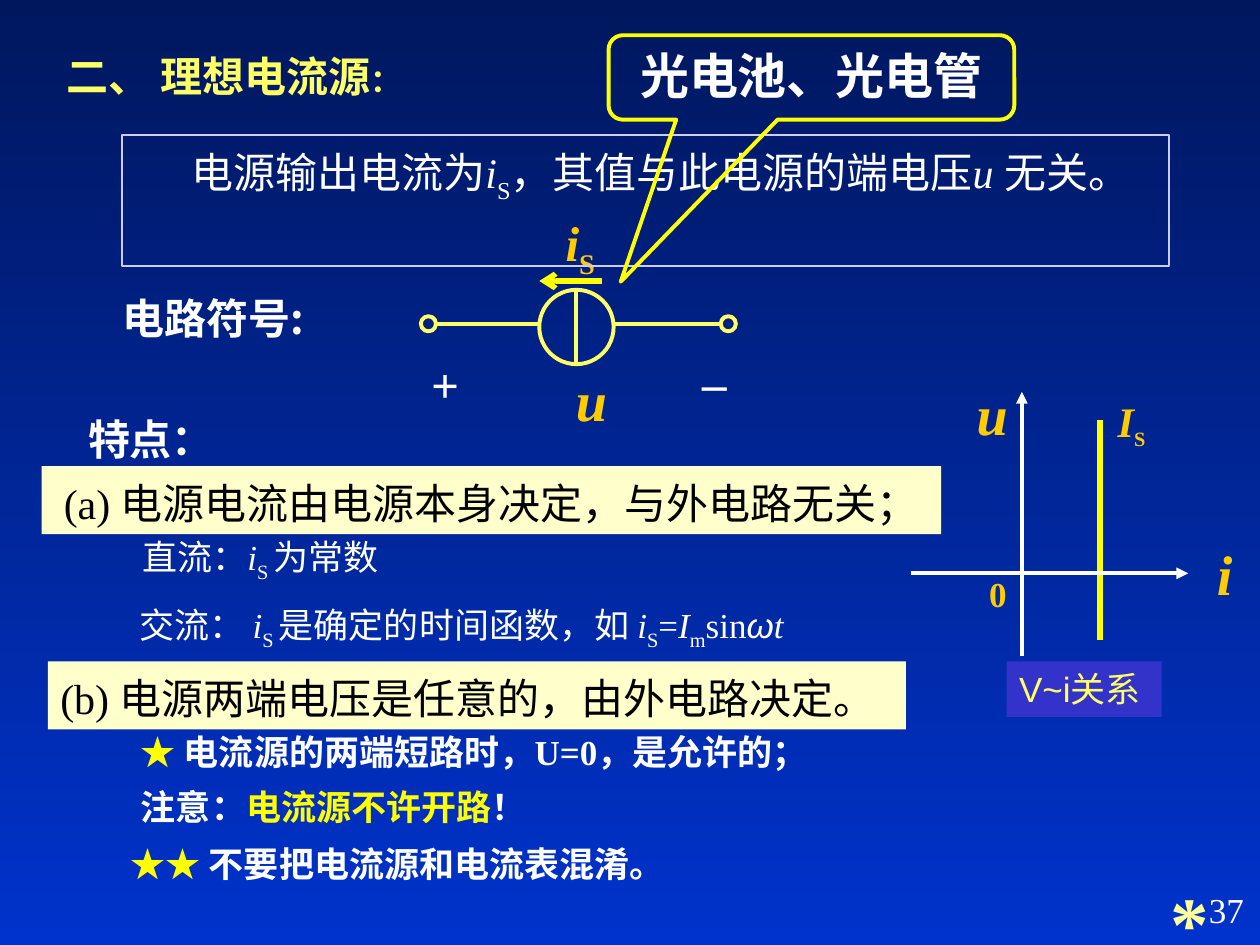
from lxml.etree import SubElement
from pptx import Presentation
from pptx.dml.color import RGBColor
from pptx.enum.shapes import MSO_CONNECTOR, MSO_SHAPE
from pptx.enum.text import MSO_ANCHOR, PP_ALIGN
from pptx.oxml.ns import qn
from pptx.util import Inches, Pt

COLS, ROWS = 10, 7.5
ROMAN, SANS, STAR = "Times New Roman", "Noto Sans CJK SC", "Noto Sans CJK KR"
WHITE, GOLD, SUN, LEMON, CREAM = "FFFFFF", "FFCC00", "FFFF00", "FFFF66", "FFFFCC"
SKY = ("00175E", "0033CC")

IT, SUB, HOT = {"italic": True}, {"sub": True}, {"color": SUN}
IS = [("i", IT), ("S", SUB)]
BASE = {"name": ROMAN, "size": 20, "color": WHITE, "bold": False, "italic": False}
HEAD = {"size": 24, "bold": True, "name": SANS}
BAND = {"size": 24, "color": "000000", "fill": CREAM, "shape": MSO_SHAPE.RECTANGLE, "lead": 1.1}
BODY = {"lead": 1.1}
NOTE = {"bold": True, "lead": 0.8, "gap": 12.5}
MARK = {"bold": True, "color": GOLD, "wrap": False, "align": PP_ALIGN.CENTER}
SIGN = {**MARK, "color": WHITE, "size": 28, "italic": True}
AXIS = {**MARK, "size": 32, "italic": True}
TOP = {"anchor": MSO_ANCHOR.TOP}

TITLE = ((0.43, 0.28, 3.45, 0.6), {**HEAD, "color": LEMON, "lead": 1.1},
         [[("二、 ", {"name": ROMAN}), ("理想电流源", {}), ("：", {"size": 18})]])

TEXTS = [
    ((0.33, 3.7, 7.14, 0.54), {**BAND, "align": PP_ALIGN.CENTER},
     [[("(a) 电源电流由电源本身决定，与外电路无关；", {})]]),
    ((0.38, 5.25, 6.81, 0.54), BAND, [[("(b) 电源两端电压是任意的，由外电路决定。", {})]]),
    ((1.03, 4.16, 2.97, 0.52), BODY, [[("直流：", {}), *IS, (" ", SUB), ("为常数", {})]]),
    ((1.01, 4.7, 6.68, 0.52), BODY,
     [[("交流： ", {}), *IS, (" ", SUB), ("是确定的时间函数，如 ", {}), *IS, ("=", {}),
       ("I", IT), ("m", SUB), ("sin", {}), ("ω", {**IT, "name": "Arial"}), ("t", IT)]]),
    ((4.39, 1.64, 0.43, 0.63), {**MARK, "size": 28}, [IS]),
    ((3.35, 2.78, 0.42, 0.57), {**SIGN, "turn": 90}, [[("+", {})]]),
    ((5.5, 2.61, 0.34, 0.57), SIGN, [[("_", {})]]),
    ((4.47, 2.85, 0.45, 0.64), AXIS, [[("u", {})]]),
    ((8.77, 3.09, 0.42, 0.54), {**MARK, "size": 24},
     [[("I", IT), ("S", {**SUB, "size": 20})]]),
    ((7.65, 2.96, 0.45, 0.64), AXIS, [[("u", {})]]),
    ((9.56, 4.23, 0.32, 0.64), AXIS, [[("i", {})]]),
    ((7.75, 4.49, 0.34, 0.44), MARK, [[("0", {})]]),
    ((7.99, 5.25, 1.23, 0.44),
     {**TOP, "name": "Arial", "color": LEMON, "fill": "3333CC", "wrap": False,
      "shape": MSO_SHAPE.RECTANGLE}, [[("V~i关系", {})]]),
    ((0.97, 1.07, 8.31, 1.04),
     {**TOP, "size": 24, "line": ("CCCCFF", 1), "lead": 1.1, "indent": 0.45, "right": 0.5,
      "shape": MSO_SHAPE.RECTANGLE},
     [[("电源输出电流为", {}), *IS, ("，其值与此电源的端电压", {}), ("u ", IT), ("无关。", {})]]),
    ((0.6, 3.23, 1.81, 0.5), HEAD, [[("特点：", {})]]),
    ((0.55, 2.27, 2.28, 0.5), {**HEAD, "align": PP_ALIGN.CENTER}, [[("电路符号:", {})]]),
    ((9.19, 6.89, 0.67, 0.84), {**TOP, "size": 44, "bold": True, "color": "FFFF99"},
     [[("*", {})]]),
    ((1.02, 5.81, 6.68, 0.81), NOTE,
     [[("★ ", {**HOT, "name": STAR}), ("电流源的两端短路时，U=0，是允许的；", {})],
      [("注意：", {}), ("电流源不许开路", HOT), ("！", {})]]),
    ((0.94, 6.7, 6.68, 0.37), NOTE,
     [[("★★ ", {**HOT, "name": STAR}), ("不要把电流源和电流表混淆。", {})]]),
    ((4.83, 0.28, 3.22, 0.67),
     {**TOP, "size": 28, "bold": True, "line": (SUN, 2.25), "align": PP_ALIGN.CENTER,
      "shape": MSO_SHAPE.ROUNDED_RECTANGULAR_CALLOUT, "adjust": (-0.47, 2.42, 0.17)},
     [[("光电池、光电管", {})]]),
    ((7.89, 7, 2.08, 0.5), {**TOP, "align": PP_ALIGN.RIGHT}, [[("37", {})]]),
]

RINGS = [(4.28, 2.3, 0.59), (5.72, 2.51, 0.12), (3.34, 2.51, 0.12)]
LINES = [
    ((4.78, 2.23), (4.28, 2.23), SUN, 3, "arrow"),
    ((5.72, 2.57), (4.87, 2.57), LEMON, 2.25, None),
    ((4.28, 2.57), (3.46, 2.57), LEMON, 2.25, None),
    ((4.57, 2.32), (4.57, 2.89), LEMON, 2.25, None),
    ((8.73, 5.08), (8.73, 3.33), SUN, 3, None),
    ((7.23, 4.55), (9.43, 4.55), WHITE, 2.25, "triangle"),
    ((8.11, 5.21), (8.11, 3.11), WHITE, 2.25, "triangle"),
]


def tint(code):
    return RGBColor.from_string(code)


def grid(spots):
    return [Inches(n) for n in spots]


def assign(thing, values):
    for key, value in values.items():
        setattr(thing, key, value)


def style(run, look):
    font = run.font
    assign(font, {key: look[key] for key in ("name", "bold", "italic")})
    font.size = Pt(look["size"])
    font.color.rgb = tint(look["color"])
    props = run._r.get_or_add_rPr()
    face = look["name"] if look["name"] == STAR else SANS
    SubElement(props, qn("a:ea")).set("typeface", face)
    if look.get("sub"):
        props.set("baseline", "-25000")


def write(shape, form, paras):
    frame = shape.text_frame
    assign(frame, {"word_wrap": form.get("wrap", True),
                   "vertical_anchor": form.get("anchor", MSO_ANCHOR.MIDDLE),
                   "margin_right": Inches(form.get("right", 0.1))})
    for row, runs in enumerate(paras):
        para = frame.add_paragraph() if row else frame.paragraphs[0]
        assign(para, {"alignment": form.get("align", PP_ALIGN.LEFT),
                      "line_spacing": form.get("lead", 1.0),
                      "space_before": Pt(form.get("gap", 0) if row else 0)})
        if "indent" in form:
            para._p.get_or_add_pPr().set("indent", str(Inches(form["indent"])))
        for words, extra in runs:
            run = para.add_run()
            run.text = words
            style(run, {**BASE, **form, **extra})


def draw(shapes, kind, spot, fill=None, line=None):
    shape = shapes.add_shape(kind, *grid(spot))
    shape.shadow.inherit = False
    if fill:
        shape.fill.solid()
        shape.fill.fore_color.rgb = tint(fill)
    else:
        shape.fill.background()
    if line:
        shape.line.color.rgb, shape.line.width = tint(line[0]), Pt(line[1])
    else:
        shape.line.fill.background()
    return shape


def label(shapes, spot, form, paras):
    if "shape" in form:
        box = draw(shapes, form["shape"], spot, form.get("fill"), form.get("line"))
        for slot, value in enumerate(form.get("adjust", ())):
            box.adjustments[slot] = value
    else:
        box = shapes.add_textbox(*grid(spot))
    box.rotation = form.get("turn", 0)
    write(box, form, paras)


def link(shapes, start, end, color, width, tip):
    wire = shapes.add_connector(MSO_CONNECTOR.STRAIGHT, *grid(start + end))
    wire.line.color.rgb, wire.line.width = tint(color), Pt(width)
    if tip:
        SubElement(wire.line._get_or_add_ln(), qn("a:tailEnd")).set("type", tip)
    SubElement(wire._element.spPr, qn("a:effectLst"))


def main():
    """Build the slide on the ideal current source."""
    deck = Presentation()
    deck.slide_width, deck.slide_height = grid((COLS, ROWS))
    slide = deck.slides.add_slide(deck.slide_layouts[5])
    back = slide.background.fill
    back.gradient()
    back.gradient_angle = 270
    for stop, code in zip(back.gradient_stops, SKY):
        stop.color.rgb = tint(code)
    shapes = slide.shapes
    spot, form, paras = TITLE
    assign(shapes.title, dict(zip(("left", "top", "width", "height"), grid(spot))))
    write(shapes.title, form, paras)
    for left, top, size in RINGS:
        draw(shapes, MSO_SHAPE.OVAL, (left, top, size, size), line=(LEMON, 2.25))
    for item in LINES:
        link(shapes, *item)
    for item in TEXTS:
        label(shapes, *item)
    deck.save("out.pptx")


if __name__ == "__main__":
    main()
